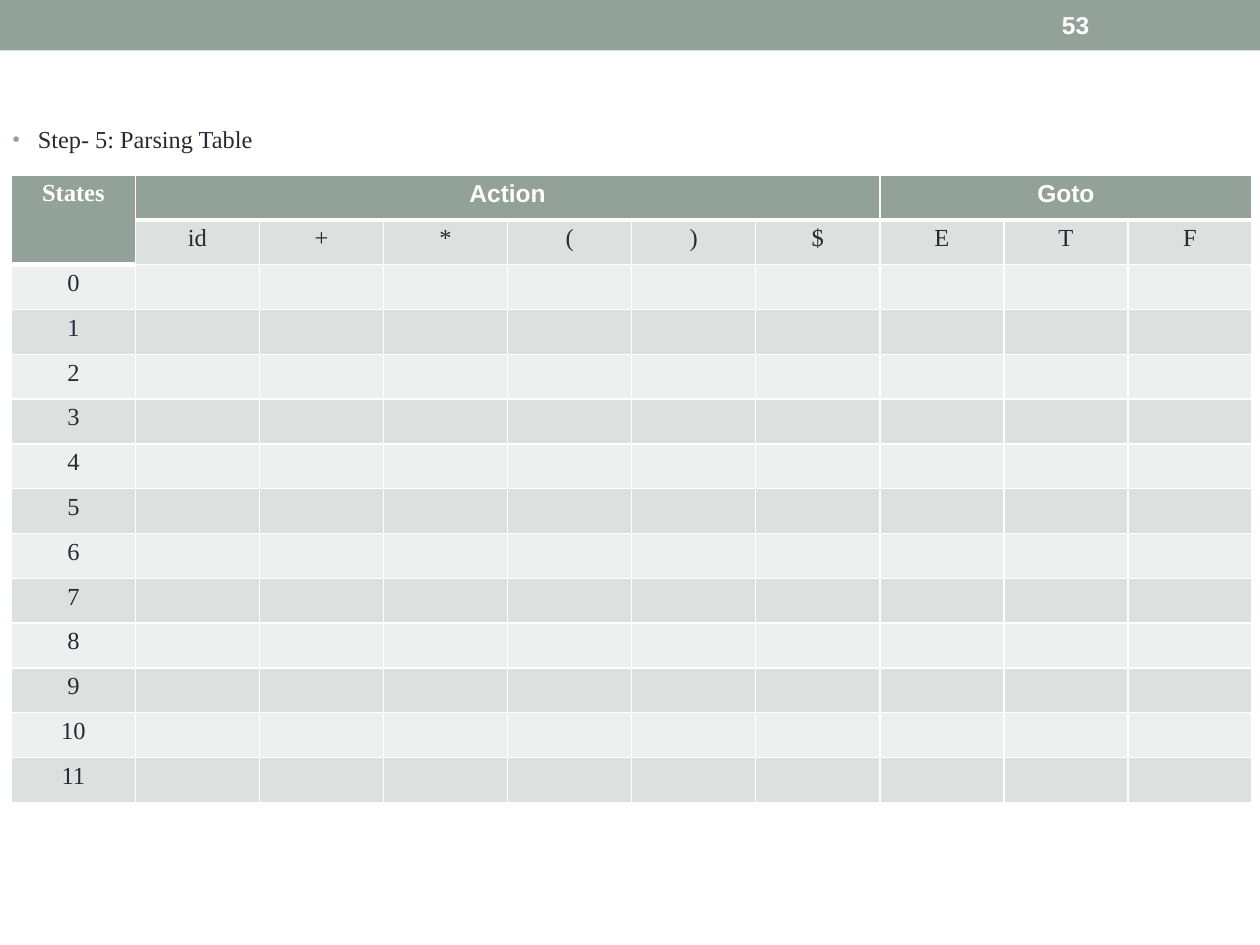
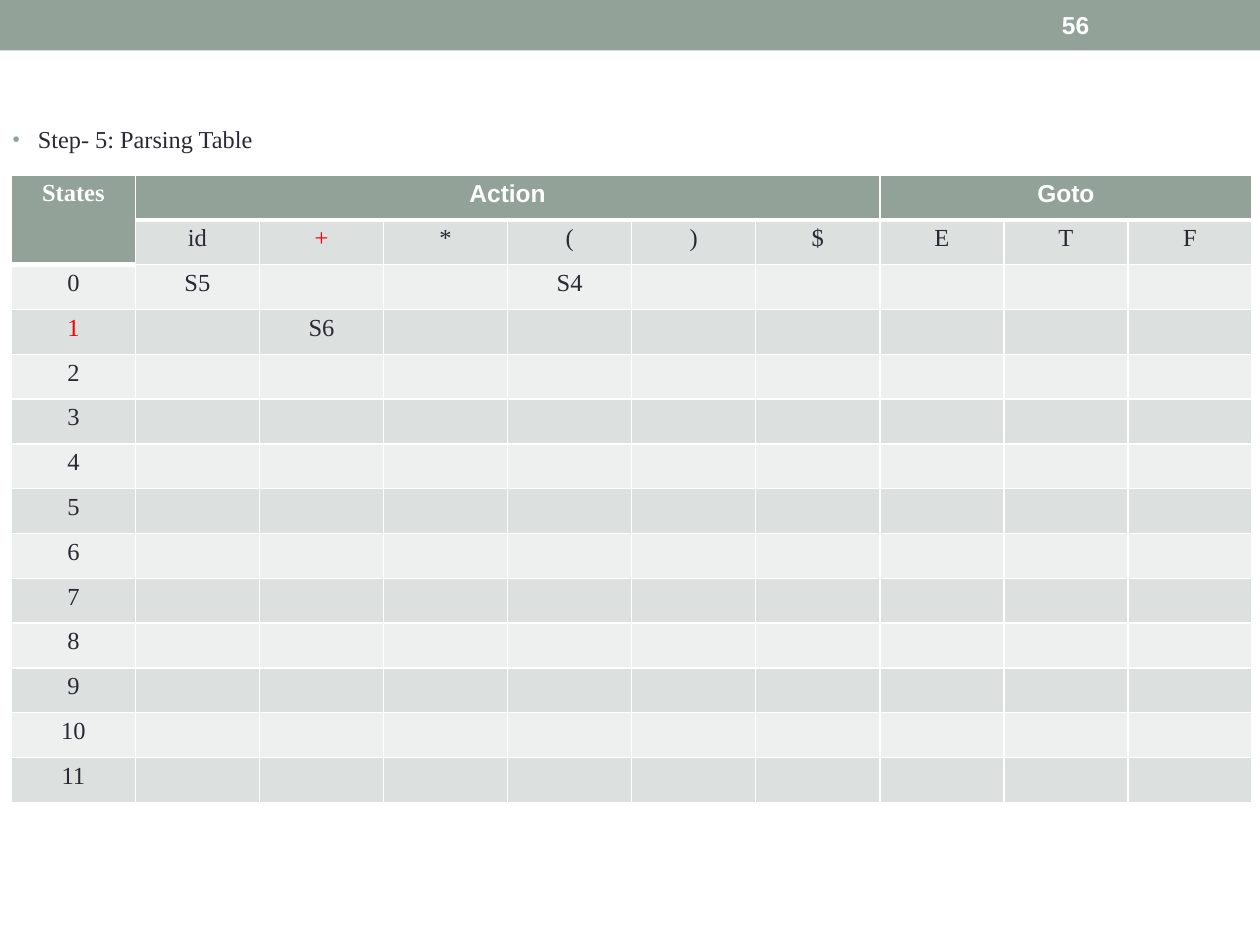
"""Build two slides that show the parsing table before and after its first entries."""
from lxml import etree
from pptx import Presentation, util as u
from pptx.dml.color import RGBColor
from pptx.enum import shapes, text
from pptx.oxml import ns

SAGE, INK, WHITE, RED = "93A299", "292934", "FFFFFF", "FF0000"
BANDS = ["EEF0EF", "DCE0DE"]
SERIF, SANS = "Times New Roman", "Arial"
SYMBOLS = ["id", "+", "*", "(", ")", "$", "E", "T", "F"]
STATES = 12
ROWS, COLS = STATES + 2, len(SYMBOLS) + 1
HEADS = {(0, 0): ("States", SERIF), (0, 1): ("Action", SANS), (0, 7): ("Goto", SANS)}
SLIDES = [
    ("53", {}, []),
    ("56", {(2, 1): "S5", (2, 4): "S4", (3, 2): "S6"}, [(1, 2), (3, 0)]),
]


def add_run(p, words, font, color, size=14, bold=False):
    r = p.add_run()
    r.text = words
    r.font.name, r.font.size, r.font.bold = font, u.Pt(size), bold
    r.font.color.rgb = RGBColor.from_string(color)


def add_xml(parent, tag, **attrs):
    return etree.SubElement(parent, ns.qn(tag), attrs)


prs = Presentation()
prs.slide_width, prs.slide_height = u.Inches(10), u.Inches(7.5)
W, H = prs.slide_width, prs.slide_height
col_w, row_h = u.Inches(9.85 / COLS), u.Inches(4.98 / ROWS)

for number, entries, marked in SLIDES:
    s = prs.slides.add_slide(prs.slide_layouts[1])
    title = s.shapes.title.element
    title.getparent().remove(title)

    if number == SLIDES[0][0]:
        band = s.shapes.add_shape(shapes.MSO_SHAPE.RECTANGLE, 0, 0, W, u.Inches(0.4))
        band.shadow.inherit = False
        band.fill.solid()
        band.fill.fore_color.rgb = RGBColor.from_string(SAGE)
        band.line.fill.background()
        prs.slide_master.shapes.element.insert(2, band.element)

    body = s.placeholders[1]
    body.left, body.top, body.width, body.height = 0, int(H * 0.125), int(W * 0.222), int(H * 0.056)
    tf = body.text_frame
    tf.auto_size = text.MSO_AUTO_SIZE.NONE
    p = tf.paragraphs[0]
    p.space_before = 0
    pPr = p._p.get_or_add_pPr()
    pPr.set("marL", str(u.Inches(0.2)))
    pPr.set("indent", str(-u.Inches(0.2)))
    add_xml(add_xml(pPr, "a:buClr"), "a:srgbClr", val=SAGE)
    add_xml(pPr, "a:buSzPct", val="85000")
    add_xml(pPr, "a:buFont", typeface=SANS)
    add_xml(pPr, "a:buChar", char="•")
    add_run(p, "Step- 5: Parsing Table", SERIF, INK, 13.9)

    sp = s.shapes.add_textbox(u.Inches(8.33), u.Inches(0.02), u.Inches(1.17), u.Inches(0.36))
    tf = sp.text_frame
    tf.word_wrap = True
    tf.vertical_anchor = text.MSO_ANCHOR.MIDDLE
    add_run(tf.paragraphs[0], number, SANS, WHITE, bold=True)

    tbl = s.shapes.add_table(ROWS, COLS, u.Inches(0.09), u.Inches(1.39),
                             col_w * COLS, row_h * ROWS).table
    tbl.first_row = tbl.horz_banding = False
    for col in tbl.columns:
        col.width = col_w
    for row in tbl.rows:
        row.height = row_h
    for first, last in [((0, 0), (1, 0)), ((0, 1), (0, 6)), ((0, 7), (0, 9))]:
        tbl.cell(*first).merge(tbl.cell(*last))

    words = {(1, c): symbol for c, symbol in enumerate(SYMBOLS, 1)}
    words.update({(n + 2, 0): str(n) for n in range(STATES)})
    words.update(entries)

    for row in range(ROWS):
        for col in range(COLS):
            at = row, col
            cell = tbl.cell(*at)
            cell.margin_left = cell.margin_right = u.Inches(0.07)
            cell.margin_top = cell.margin_bottom = u.Inches(0.04)
            is_head = row == 0 or at == (1, 0)
            under_head = row == 1 or at == (2, 0)
            tcPr = cell._tc.get_or_add_tcPr()
            for side, points in [("L", 1), ("R", 1), ("T", 3 if under_head else 1),
                                 ("B", 3 if is_head else 1)]:
                ln = add_xml(tcPr, f"a:ln{side}", w=str(u.Pt(points)))
                add_xml(add_xml(ln, "a:solidFill"), "a:srgbClr", val=WHITE)
            cell.fill.solid()
            cell.fill.fore_color.rgb = RGBColor.from_string(SAGE if is_head else BANDS[row % 2])

            p = cell.text_frame.paragraphs[0]
            p.alignment = text.PP_ALIGN.CENTER
            if at in HEADS:
                add_run(p, *HEADS[at], WHITE, bold=True)
            elif at in words:
                add_run(p, words[at], SERIF, RED if at in marked else INK)
            else:
                add_xml(p._p, "a:endParaRPr", sz="1400")

prs.save("out.pptx")
